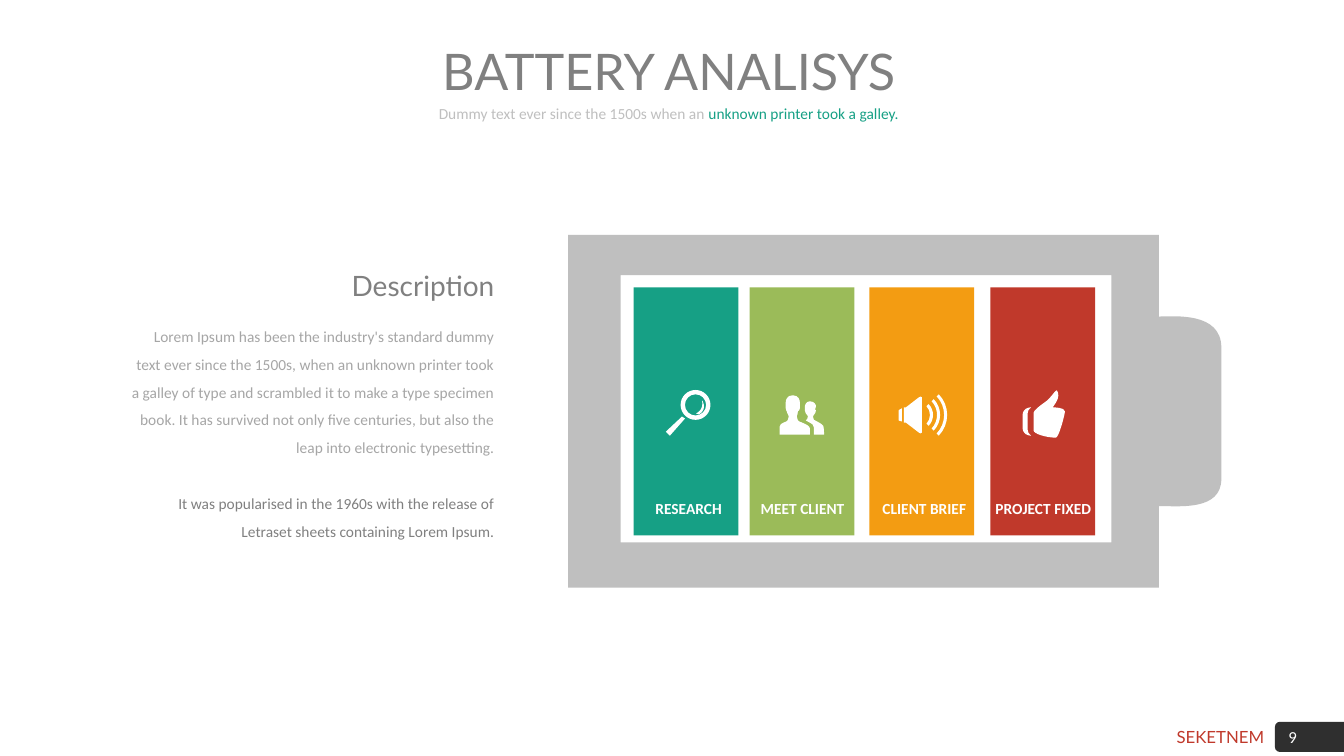
from math import ceil, cos, radians, sin, tan

from lxml import etree
from pptx import Presentation
from pptx.dml.color import RGBColor
from pptx.enum.shapes import MSO_SHAPE
from pptx.enum.text import MSO_ANCHOR, PP_ALIGN
from pptx.oxml.ns import qn
from pptx.util import Cm, Pt

WHITE = RGBColor(0xFF, 0xFF, 0xFF)
CHARCOAL = RGBColor(0x2F, 0x2F, 0x2F)
DARK_GRAY = RGBColor(0x80, 0x80, 0x80)
MID_GRAY = RGBColor(0xA6, 0xA6, 0xA6)
LIGHT_GRAY = RGBColor(0xBF, 0xBF, 0xBF)
TEAL = RGBColor(0x16, 0xA0, 0x85)
GREEN = RGBColor(0x9B, 0xBB, 0x59)
ORANGE = RGBColor(0xF3, 0x9C, 0x12)
RED = RGBColor(0xC0, 0x39, 0x2B)

GRID = Cm(2.54) / 100  # one outline unit

# Outlines: M move, L line, C cubic curve, Z close,
# A arc (centre x, centre y, radius, start angle, end angle)
BATTERY = (
    "M 586 81 L 586 0 L 0 0 L 0 350 L 586 350 L 586 269 C 606 269 648 274 648 242 "
    "L 648 112 C 648 76 601 81 586 81 Z M 539 305 L 52 305 L 52 40 L 539 40 Z"
)
MAGNIFIER = [
    "A 29.5 15.5 14.8 0 360 Z A 29.5 15.5 10.5 0 360 Z",
    "M 0 42 L 4 46 L 19 29 L 16 27 Z",
    "M 36 11 C 38 21 30 24 30 24 L 33 25 C 42 19 36 11 36 11 Z",
]
PEOPLE = [
    "M 44 39 C 44 39 44 31 43 30 C 42 29 41 28 37 26 C 34 25 33 24 33 21 "
    "C 33 20 34 20 35 18 C 35 16 36 18 36 15 C 36 14 35 14 35 14 "
    "C 35 14 36 12 36 11 C 36 10 35 6 30 6 C 26 6 25 10 25 11 L 25 15 "
    "C 25 18 26 16 26 18 C 27 20 28 20 28 21 C 28 23 27 24 26 25 "
    "C 33 29 34 29 34 32 L 34 39 Z "
    "M 22 27 C 18 26 17 24 17 21 C 17 19 18 20 18 16 C 19 14 20 16 20 13 "
    "L 20 7 C 20 5 19 0 13 0 C 7 0 6 5 6 7 L 6 13 C 6 16 7 14 7 16 "
    "C 8 20 9 19 9 21 C 9 24 8 26 4 27 C 2 28 0 29 0 31 L 0 39 L 30 39 "
    "L 30 33 C 30 31 27 29 22 27 Z"
]
SPEAKER = [
    "M 20 4 L 7 14 L 5 14 L 5 29 L 7 29 L 20 39 C 20 39 23 41 23 39 L 23 4 "
    "C 23 2 20 4 20 4 Z",
    "M 0 17 L 0 27 C 0 27 2 28 3 28 L 3 15 C 2 16 0 16 0 17 Z",
] + [
    f"A 18.5 21.5 {radius + 1.5} -44 44 A 18.5 21.5 {radius - 1.5} 44 -44 Z"
    for radius in (14, 21, 28)
]
THUMB = [
    "M 30 18 C 30 17 39 8 34 1 C 33 0 28 9 22 13 C 19 15 11 21 11 23 L 11 41 "
    "C 11 44 23 48 33 48 C 36 48 42 25 42 22 C 42 18 31 18 30 18 Z "
    "M 8 18 C 6 18 0 19 0 26 L 0 38 C 0 45 6 46 8 46 C 10 46 5 45 5 40 L 5 24 "
    "C 5 19 10 18 8 18 Z"
]

# Cell: label, colour, left, label shift, icon left, icon top, icon (cm)
CELLS = [
    ("RESEARCH", TEAL, 1.65, 0, 0.81, 2.57, MAGNIFIER),
    ("MEET CLIENT", GREEN, 4.57, -0.05, 0.76, 2.72, PEOPLE),
    ("CLIENT BRIEF", ORANGE, 7.59, 0, 0.74, 2.67, SPEAKER),
    ("PROJECT FIXED", RED, 10.64, -0.05, 0.81, 2.57, THUMB),
]


def style(name, size, color, bold=False):
    return {"name": name, "size": Pt(size), "bold": bold}, color


def set_values(target, values):
    for name, value in values.items():
        setattr(target, name, value)


def fill_frame(frame, paragraphs, para_format, frame_format=None):
    """Each paragraph is a list of (text, style) spans."""
    set_values(frame, {"word_wrap": True, **(frame_format or {})})
    for index, spans in enumerate(paragraphs):
        para = frame.add_paragraph() if index else frame.paragraphs[0]
        set_values(para, para_format)
        for text, (font_format, color) in spans:
            span = para.add_run()
            span.text = text
            set_values(span.font, font_format)
            span.font.color.rgb = color
    return frame


def add_text(page, box, paragraphs, para_format):
    frame = page.shapes.add_textbox(*map(Cm, box)).text_frame
    return fill_frame(frame, paragraphs, para_format)


def paint(shape, color):
    shape.shadow.inherit = False
    shape.line.fill.background()
    if color is None:
        shape.fill.background()
    else:
        shape.fill.solid()
        shape.fill.fore_color.rgb = color


def add_block(page, kind, box, color):
    paint(page.shapes.add_shape(kind, *map(Cm, box)), color)


def arc_nodes(x, y, radius, start, end):
    """Nodes of an arc: handles of the curve that leads there, then the point."""
    pieces = max(2, ceil(abs(end - start) / 90))
    turn = radians(end - start) / pieces
    pull = 4 / 3 * tan(turn / 4)
    nodes = []
    for piece in range(pieces + 1):
        angle = radians(start) + turn * piece
        dx, dy = radius * cos(angle), radius * sin(angle)
        point = (x + dx, y + dy)
        handles = []
        if piece:
            handles = [leaving, (point[0] + pull * dy, point[1] - pull * dx)]
        leaving = (point[0] - pull * dy, point[1] + pull * dx)
        nodes.append((handles, point))
    return nodes


def trace(outline):
    """Turn an outline into closed lists of (handles, point) nodes."""
    contours, nodes = [], []
    tokens = iter(outline.split())

    def take(count):
        return [float(next(tokens)) for _ in range(count)]

    for command in tokens:
        if command == "Z":
            contours.append(nodes)
            nodes = []
        elif command == "A":
            nodes += arc_nodes(*take(5))
        elif command == "C":
            x1, y1, x2, y2, x, y = take(6)
            nodes.append(([(x1, y1), (x2, y2)], (x, y)))
        else:
            nodes.append(([], tuple(take(2))))
    return contours


def add_outline(page, left, top, outline, color):
    def place(point):
        return Cm(left) + round(point[0] * GRID), Cm(top) + round(point[1] * GRID)

    builder, bends = None, []
    for nodes in trace(outline):
        points = [place(point) for _, point in nodes]
        if builder is None:
            builder = page.shapes.build_freeform(*points[0], scale=1.0)
        else:
            builder.move_to(*points[0])
        builder.add_line_segments(points[1:], close=True)
        bends += [handles for handles, _ in nodes[1:]]
    shape = builder.convert_to_shape()
    # Bend the straight segments that have handles
    for segment, handles in zip(list(shape._element.iter(qn("a:lnTo"))), bends):
        if handles:
            segment.tag = qn("a:cubicBezTo")
        for index, handle in enumerate(handles):
            x, y = place(handle)
            segment.insert(index, etree.Element(
                qn("a:pt"), x=str(x - shape.left), y=str(y - shape.top)))
    paint(shape, color)
    return shape


def add_header(page, left, top, width):
    centred = {"alignment": PP_ALIGN.CENTER, "space_after": Pt(6)}
    title = [("BATTERY ANALISYS", style("Lato", 36, DARK_GRAY))]
    subtitle = [
        ("Dummy text ever since the 1500s when an ", style("Calibri", 11, LIGHT_GRAY)),
        ("unknown printer took a galley.", style("Calibri", 11, TEAL)),
    ]
    add_text(page, (left, top, width, 1.68), [title], centred)
    add_text(page, (left, top + 1.61, width, 0.89), [subtitle], centred)


def add_description(page, left, top, width):
    right = {"alignment": PP_ALIGN.RIGHT}
    add_text(page, (left, top, width, 0.94),
             [[("Description", style("Lato", 20, DARK_GRAY))]], right)
    body = [
        [("Lorem Ipsum has been the industry's standard dummy text ever since the 1500s, "
          "when an unknown printer took a galley of type and scrambled it to make a type "
          "specimen book. It has survived not only five centuries, but also the leap into "
          "electronic typesetting.", style("Calibri", 11, MID_GRAY))],
        [("It was popularised in the 1960s with the release of Letraset sheets containing "
          "Lorem Ipsum.", style("Calibri", 11, DARK_GRAY))],
    ]
    frame = add_text(page, (left, top + 1.26, width, 5.56), body,
                     {**right, "line_spacing": 1.5})
    frame.paragraphs[1].space_before = Pt(20)


def add_battery(page, left, top):
    add_outline(page, left, top, BATTERY, LIGHT_GRAY)
    label_frame = {"vertical_anchor": MSO_ANCHOR.MIDDLE, "margin_left": Cm(0.13),
                   "margin_right": 0, "margin_top": 0, "margin_bottom": 0}
    label_para = {"alignment": PP_ALIGN.CENTER, "line_spacing": 0.9}
    cell_top = top + 1.32
    for label, color, offset, shift, icon_left, icon_top, icon in CELLS:
        cell_left = left + offset
        add_block(page, MSO_SHAPE.RECTANGLE, (cell_left, cell_top, 2.64, 6.25), color)
        for outline in icon:
            add_outline(page, cell_left + icon_left, cell_top + icon_top, outline, WHITE)
        plate = add_outline(page, cell_left + shift, cell_top + 5.06,
                            "M 0 0 L 104 0 L 104 42 L 0 42 Z", None)
        fill_frame(plate.text_frame, [[(label, style("Calibri", 11, WHITE, True))]],
                   label_para, label_frame)


def add_footer(page, left, top):
    add_block(page, MSO_SHAPE.ROUNDED_RECTANGLE, (left + 3.53, top, 2.03, 0.76), CHARCOAL)
    add_text(page, (left, top, 3.51, 0.61),
             [[("SEKETNEM", style("Lato", 12, RED))]], {"alignment": PP_ALIGN.RIGHT})
    add_text(page, (left + 2.69, top, 2.57, 0.76),
             [[("9", style("Calibri", 12, WHITE))]], {"alignment": PP_ALIGN.CENTER})


def main():
    deck = Presentation()
    set_values(deck, {"slide_width": Cm(33.87), "slide_height": Cm(19.05)})
    page = deck.slides.add_slide(deck.slide_layouts[6])
    add_footer(page, 28.6, 18.19)
    add_header(page, 9.45, 0.89, 14.81)
    add_battery(page, 14.32, 5.92)
    add_description(page, 3.05, 6.63, 9.66)
    deck.save("out.pptx")


if __name__ == "__main__":
    main()
